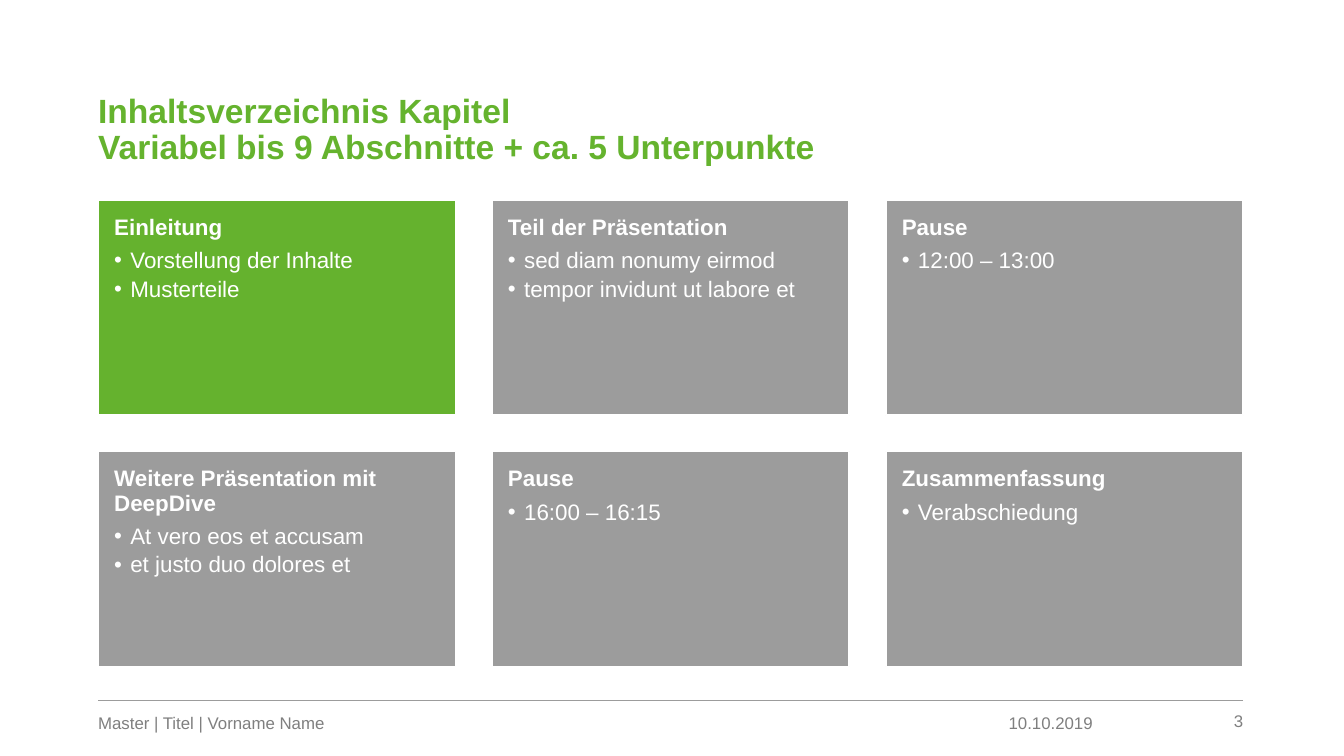
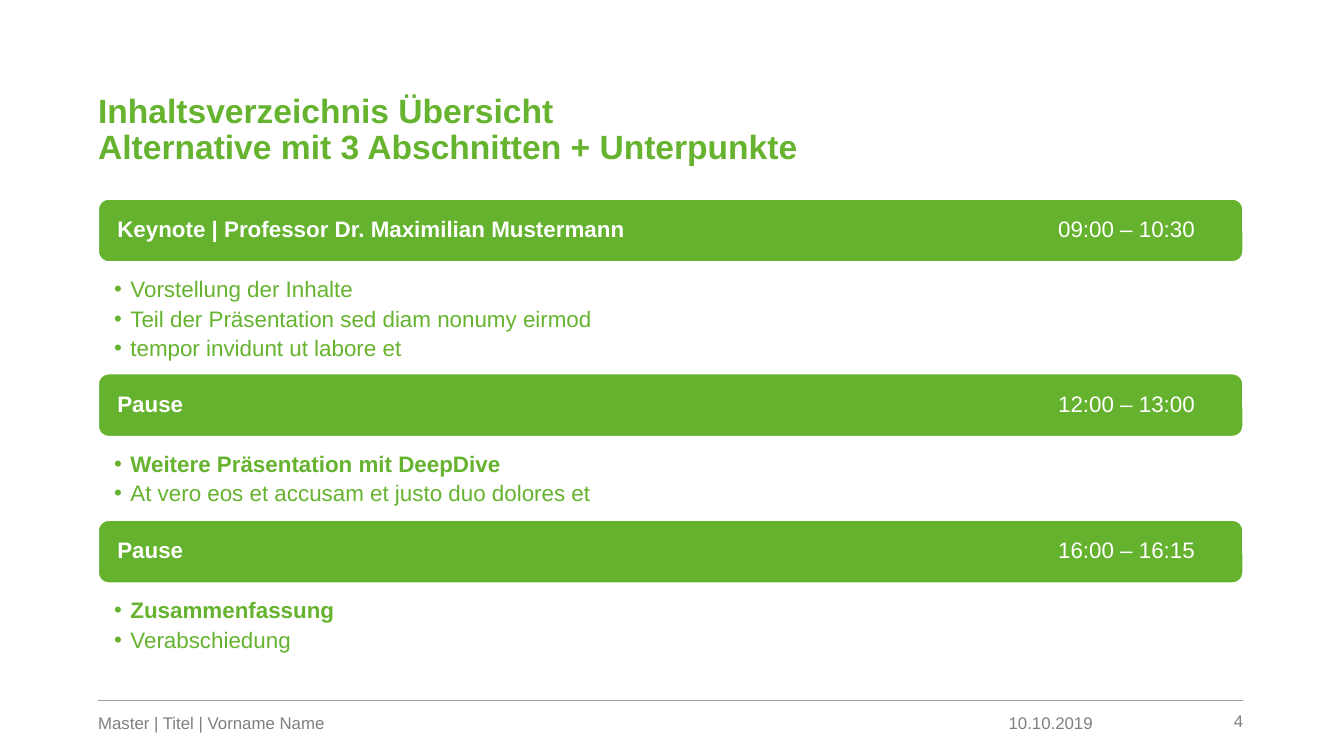
from lxml import etree
from pptx import Presentation
from pptx.dml.color import RGBColor
from pptx.enum.shapes import MSO_CONNECTOR, MSO_SHAPE
from pptx.enum.text import MSO_ANCHOR, PP_ALIGN
from pptx.oxml.ns import qn
from pptx.util import Inches, Pt

RECT, ROUND = MSO_SHAPE.RECTANGLE, MSO_SHAPE.ROUNDED_RECTANGLE
TOP, MIDDLE, BOTTOM = MSO_ANCHOR.TOP, MSO_ANCHOR.MIDDLE, MSO_ANCHOR.BOTTOM
LEFT, RIGHT = PP_ALIGN.LEFT, PP_ALIGN.RIGHT
STRAIGHT = MSO_CONNECTOR.STRAIGHT

GREEN, INK = "65B22E", "65B32E"
GRAY, DIM, WHITE = "9C9C9C", "7F7F7F", "FFFFFF"
FONT = "Arial"
X, WIDE, PAD = 0.73, 8.52, 0.12

TITLES = [
    "Inhaltsverzeichnis Kapitel\nVariabel bis 9 Abschnitte + ca. 5 Unterpunkte",
    "Inhaltsverzeichnis Übersicht\nAlternative mit 3 Abschnitten + Unterpunkte",
]
AUTHOR, DATE, FIRST = "Master | Titel | Vorname Name", "10.10.2019", 3

CARDS = [
    ("Einleitung", ["Vorstellung der Inhalte", "Musterteile"]),
    ("Teil der Präsentation",
     ["sed diam nonumy eirmod", "tempor invidunt ut labore et"]),
    ("Pause", ["12:00 – 13:00"]),
    ("Weitere Präsentation mit DeepDive",
     ["At vero eos et accusam", "et justo duo dolores et"]),
    ("Pause", ["16:00 – 16:15"]),
    ("Zusammenfassung", ["Verabschiedung"]),
]

PARTS = [
    ("Keynote | Professor Dr. Maximilian Mustermann", "09:00 – 10:30",
     [("Vorstellung der Inhalte", False),
      ("Teil der Präsentation sed diam nonumy eirmod", False),
      ("tempor invidunt ut labore et", False)]),
    ("Pause", "12:00 – 13:00",
     [("Weitere Präsentation mit DeepDive", True),
      ("At vero eos et accusam et justo duo dolores et", False)]),
    ("Pause", "16:00 – 16:15",
     [("Zusammenfassung", True), ("Verabschiedung", False)]),
]


def rgb(code):
    return RGBColor.from_string(code)


def apply(target, values):
    for name, value in values.items():
        setattr(target, name, value)


def frame(shape, anchor=TOP, pad=PAD):
    body = shape.text_frame
    apply(body, {"word_wrap": True, "vertical_anchor": anchor})
    for side in ("left", "top", "right", "bottom"):
        setattr(body, "margin_" + side, Inches(pad))
    return body


def box(slide, at, anchor=TOP, pad=PAD):
    return frame(slide.shapes.add_textbox(*map(Inches, at)), anchor, pad)


def panel(slide, kind, at, fill, anchor=TOP):
    shape = slide.shapes.add_shape(kind, *map(Inches, at))
    shape.shadow.inherit = False
    shape.fill.solid()
    shape.fill.fore_color.rgb = rgb(fill)
    shape.line.color.rgb = rgb(WHITE)
    shape.line.width = Pt(1)
    return frame(shape, anchor)


def write(body, runs, color, size=12, after=0, space=0.9, align=LEFT,
          bullet=False, tab=None):
    para = body.paragraphs[0]
    if para.runs:
        para = body.add_paragraph()
    apply(para, {"alignment": align, "line_spacing": space,
                 "space_before": Pt(0), "space_after": Pt(after)})
    props = para._p.get_or_add_pPr()
    if bullet:
        para.level = 1
        props.set("marL", str(Inches(PAD)))
        props.set("indent", str(-Inches(PAD)))
        etree.SubElement(props, qn("a:buFont"), typeface=FONT)
        etree.SubElement(props, qn("a:buChar"), char="•")
    if tab:
        stops = etree.SubElement(props, qn("a:tabLst"))
        etree.SubElement(stops, qn("a:tab"), pos=str(Inches(tab)), algn="l")
    for text, bold in runs:
        for row, line in enumerate(text.split("\n")):
            if row:
                para.add_line_break()
            run = para.add_run()
            run.text = line
            apply(run.font, {"name": FONT, "size": Pt(size), "bold": bold})
            run.font.color.rgb = rgb(color)


def base(deck, title, page):
    slide = deck.slides.add_slide(deck.slide_layouts[6])
    rule = slide.shapes.add_connector(
        STRAIGHT, *map(Inches, (X + WIDE, 5.21, X, 5.21)))
    rule.line.color.rgb = rgb(GRAY)
    rule.line.width = Pt(0.5)
    etree.SubElement(rule._element.spPr, qn("a:effectLst"))
    write(box(slide, (X, 0.41, WIDE, 0.83), BOTTOM, 0),
          [(title, True)], INK, 18)
    for text, left, width, high, align in (
            (DATE, 7.02, 1.11, 0.24, RIGHT),
            (AUTHOR, X, 4.82, 0.24, LEFT),
            (str(page), 8.49, 0.76, 0.23, RIGHT)):
        write(box(slide, (left, 5.21, width, high), BOTTOM, 0),
              [(text, False)], DIM, 9, space=1.0, align=align)
    return slide


def grid(slide):
    cols, width, high, gap = 3, 2.66, 1.6, 0.27
    for spot, (head, points) in enumerate(CARDS):
        row, col = divmod(spot, cols)
        at = (X + col * (width + gap), 1.49 + row * (high + gap), width, high)
        body = panel(slide, RECT, at, GRAY if spot else GREEN)
        write(body, [(head, True)], WHITE, after=4.8)
        for point in points:
            write(body, [(point, False)], WHITE, after=2.4, bullet=True)


def agenda(slide):
    top, band = 1.48, 0.47
    for head, time, points in PARTS:
        body = panel(slide, ROUND, (X, top, WIDE, band), GREEN, MIDDLE)
        write(body, [(head + "\t", True), (time, False)], WHITE, tab=7)
        top += band
        high = 0.2 + 0.21 * len(points)
        body = box(slide, (X, top, WIDE, high))
        for point in points:
            write(body, [point], INK, after=2.9, bullet=True)
        top += high


def main():
    deck = Presentation()
    deck.slide_width, deck.slide_height = Inches(10), Inches(5.625)
    for page, (title, draw) in enumerate(zip(TITLES, (grid, agenda)), FIRST):
        draw(base(deck, title, page))
    deck.save("out.pptx")


if __name__ == "__main__":
    main()
